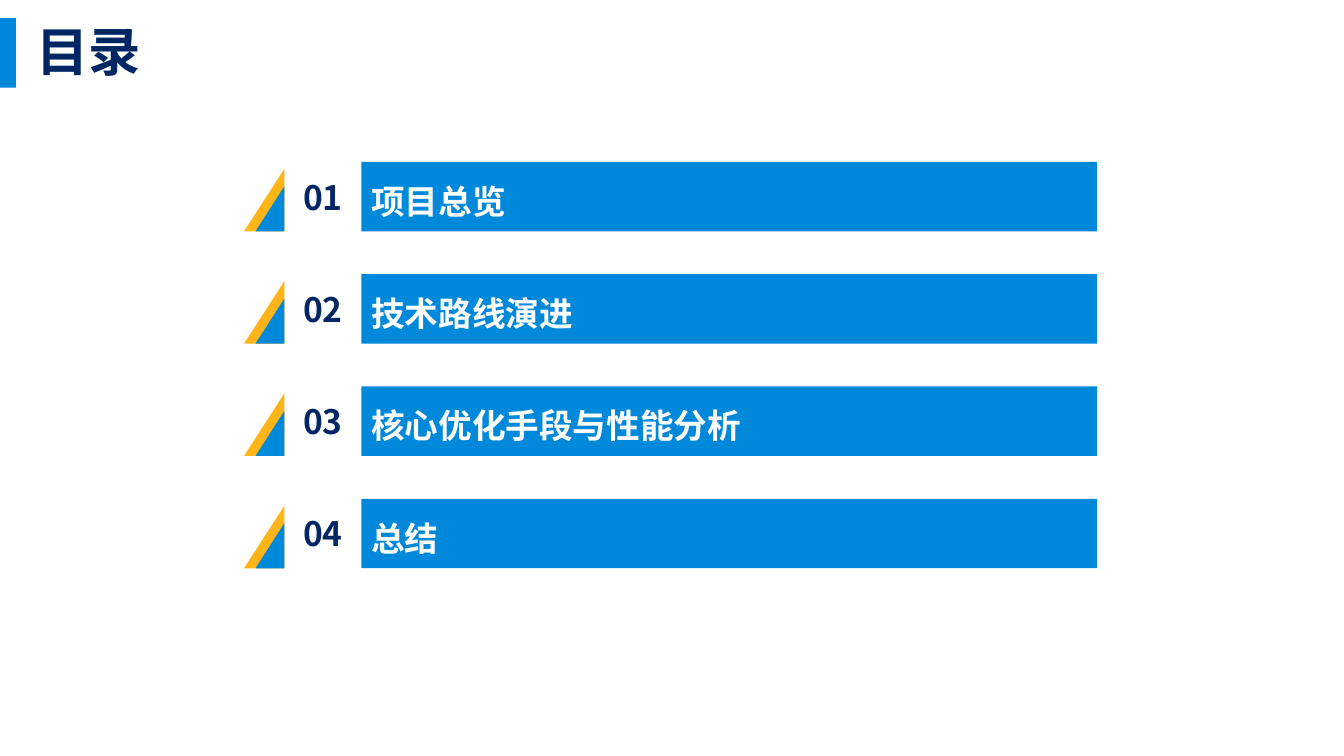
"""Build the contents slide with four numbered section bars."""
from lxml.etree import SubElement
from pptx import Presentation
from pptx.dml.color import RGBColor
from pptx.enum.shapes import MSO_SHAPE
from pptx.enum.text import MSO_ANCHOR, PP_ALIGN
from pptx.oxml.ns import qn
from pptx.util import Cm, Pt

FONT = "Noto Sans CJK SC"
BLUE, NAVY, AMBER, WHITE = "0089DB", "002664", "FFB418", "FFFFFF"
SECTIONS = ["项目总览", "技术路线演进", "核心优化手段与性能分析", "总结"]
FIRST_TOP, PITCH, BAR_HEIGHT = 4.08, 2.83, 1.75
TRIANGLE_RIGHT, BAR_LEFT, BAR_WIDTH = 7.17, 9.11, 18.54


def paint(shape, color):
    shape.shadow.inherit = False
    shape.fill.solid()
    shape.fill.fore_color.rgb = RGBColor.from_string(color)
    shape.line.fill.background()


def write(shape, text, size, color, align, anchor, spacing):
    frame = shape.text_frame
    frame.word_wrap = True
    frame.vertical_anchor = anchor
    para = frame.paragraphs[0]
    para.text = text
    para.alignment = align
    para.line_spacing = spacing
    para.font.size = Pt(size)
    para.font.bold = True
    para.font.color.rgb = RGBColor.from_string(color)
    para.font.name = FONT
    defaults = para._p.pPr.find(qn("a:defRPr"))
    SubElement(defaults, qn("a:ea")).set("typeface", FONT)
    return frame


deck = Presentation()
deck.slide_width, deck.slide_height = Cm(33.87), Cm(19.05)
page = deck.slides.add_slide(deck.slide_layouts[6])

accent = page.shapes.add_shape(MSO_SHAPE.RECTANGLE, 0, Cm(0.46), Cm(0.4), Cm(BAR_HEIGHT))
paint(accent, BLUE)
title = page.shapes.add_textbox(Cm(0.66), Cm(0.46), Cm(28), Cm(BAR_HEIGHT))
write(title, "目录", 37.4, NAVY, PP_ALIGN.LEFT, MSO_ANCHOR.BOTTOM, 0.9)

for index, section in enumerate(SECTIONS):
    top = FIRST_TOP + index * PITCH
    bottom = top + BAR_HEIGHT

    for width, height, color in [(1.02, 1.58, AMBER), (0.73, 1.14, BLUE)]:
        outline = page.shapes.build_freeform(Cm(TRIANGLE_RIGHT), Cm(bottom - height))
        outline.add_line_segments([
            (Cm(TRIANGLE_RIGHT), Cm(bottom)),
            (Cm(TRIANGLE_RIGHT - width), Cm(bottom)),
        ])
        paint(outline.convert_to_shape(), color)

    number = page.shapes.add_textbox(
        Cm(TRIANGLE_RIGHT), Cm(top), Cm(BAR_LEFT - TRIANGLE_RIGHT), Cm(BAR_HEIGHT))
    frame = write(number, f"{index + 1:02}", 24, NAVY, PP_ALIGN.CENTER, MSO_ANCHOR.MIDDLE, 1.0)
    frame.margin_left = frame.margin_right = frame.margin_top = frame.margin_bottom = 0

    bar = page.shapes.add_shape(
        MSO_SHAPE.RECTANGLE, Cm(BAR_LEFT), Cm(top), Cm(BAR_WIDTH), Cm(BAR_HEIGHT))
    paint(bar, BLUE)
    write(bar, section, 24, WHITE, PP_ALIGN.LEFT, MSO_ANCHOR.MIDDLE, 1.2)

deck.save("out.pptx")
